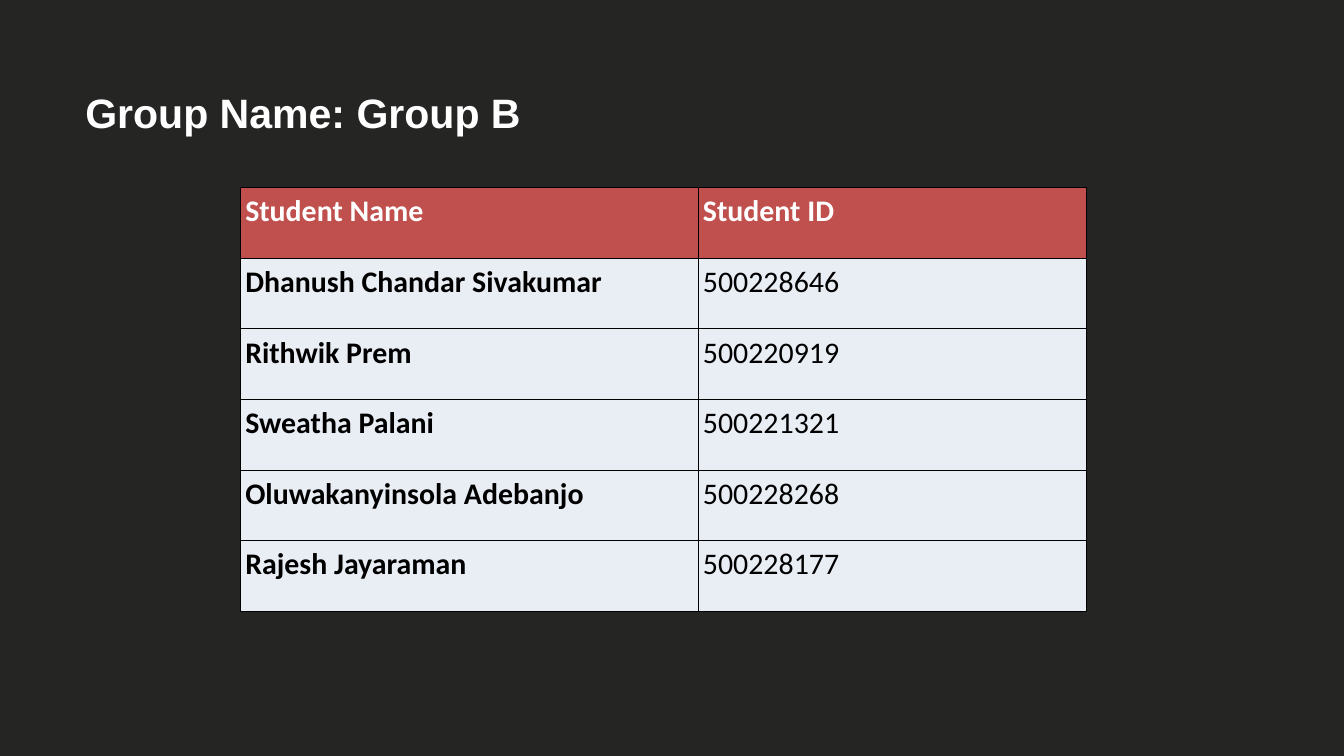
"""Build the Group B slide with its student table."""
from lxml import etree
from pptx import Presentation
from pptx import util as u
from pptx.dml.color import RGBColor
from pptx.enum import text
from pptx.oxml import ns


def paint(fill, colour):
    fill.solid()
    fill.fore_color.rgb = RGBColor.from_string(colour)


def write(paragraph, words, colour, **formats):
    paragraph.text = words
    for key, value in formats.items():
        setattr(paragraph.font, key, value)
    paint(paragraph.font.fill, colour)


students = [
    ("Student Name", "Student ID"),
    ("Dhanush Chandar Sivakumar", "500228646"),
    ("Rithwik Prem", "500220919"),
    ("Sweatha Palani", "500221321"),
    ("Oluwakanyinsola Adebanjo", "500228268"),
    ("Rajesh Jayaraman", "500228177"),
]
column_widths = [17.3, 14.68]
row_height = 2.67
cell_format = {"margin_left": u.Cm(0.18), "margin_right": u.Cm(0.18),
               "margin_top": 0, "margin_bottom": 0}
line_format = {"line_spacing": 1.16, "space_after": u.Pt(8),
               "alignment": text.PP_ALIGN.LEFT}

deck = Presentation()
deck.slide_width, deck.slide_height = u.Cm(50.8), u.Cm(28.58)
slide = deck.slides.add_slide(deck.slide_layouts[5])
paint(slide.background.fill, "252524")

heading = slide.shapes.title
heading_box = {"left": 2.97, "top": 3.07, "width": 44, "height": 2.3}
for side, length in heading_box.items():
    setattr(heading, side, u.Cm(length))
heading.text_frame.vertical_anchor = text.MSO_ANCHOR.MIDDLE
heading_line = heading.text_frame.paragraphs[0]
heading_line.alignment = text.PP_ALIGN.LEFT
write(heading_line, "Group Name: Group B", "FFFFFF",
      name="Arial", size=u.Pt(44), bold=True)

roster = slide.shapes.add_table(
    len(students), len(column_widths), u.Cm(9.09), u.Cm(7.09),
    u.Cm(sum(column_widths)), u.Cm(row_height * len(students))).table
for column, width in zip(roster.columns, column_widths):
    column.width = u.Cm(width)

for row, student in enumerate(students):
    roster.rows[row].height = u.Cm(row_height)
    for col, words in enumerate(student):
        cell = roster.cell(row, col)
        for key, value in cell_format.items():
            setattr(cell, key, value)
        line = cell.text_frame.paragraphs[0]
        for key, value in line_format.items():
            setattr(line, key, value)
        write(line, words, "000000" if row else "FFFFFF", name="Calibri",
              size=u.Pt(32), bold=row == 0 or col == 0)
        properties = cell._tc.get_or_add_tcPr()
        for edge in ("a:lnL", "a:lnR", "a:lnT", "a:lnB"):
            border = etree.SubElement(properties, ns.qn(edge), w=str(u.Pt(1)))
            ink = etree.SubElement(border, ns.qn("a:solidFill"))
            etree.SubElement(ink, ns.qn("a:srgbClr"), val="000000")
        paint(cell.fill, "E9EDF4" if row else "C0504D")

deck.save("out.pptx")
